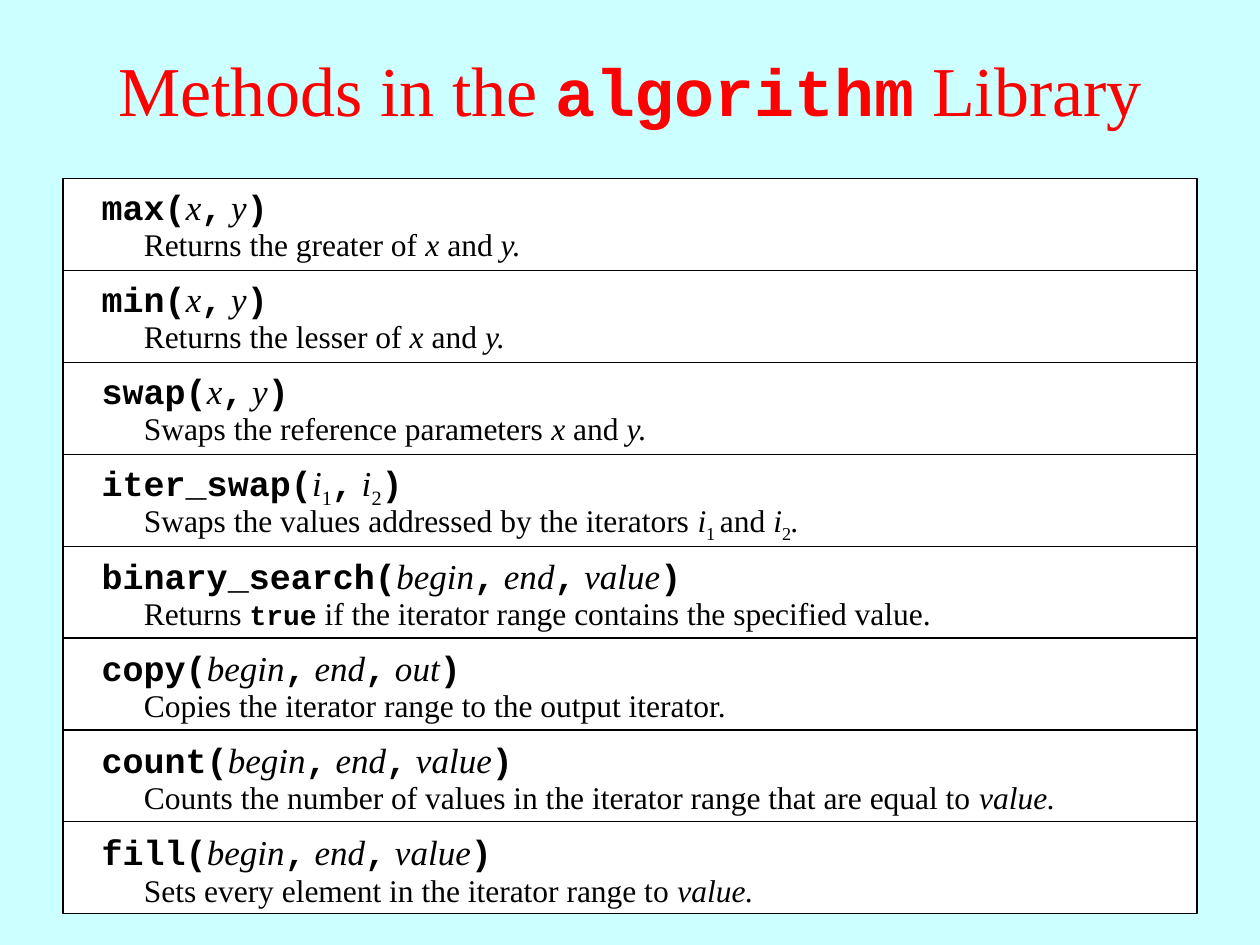
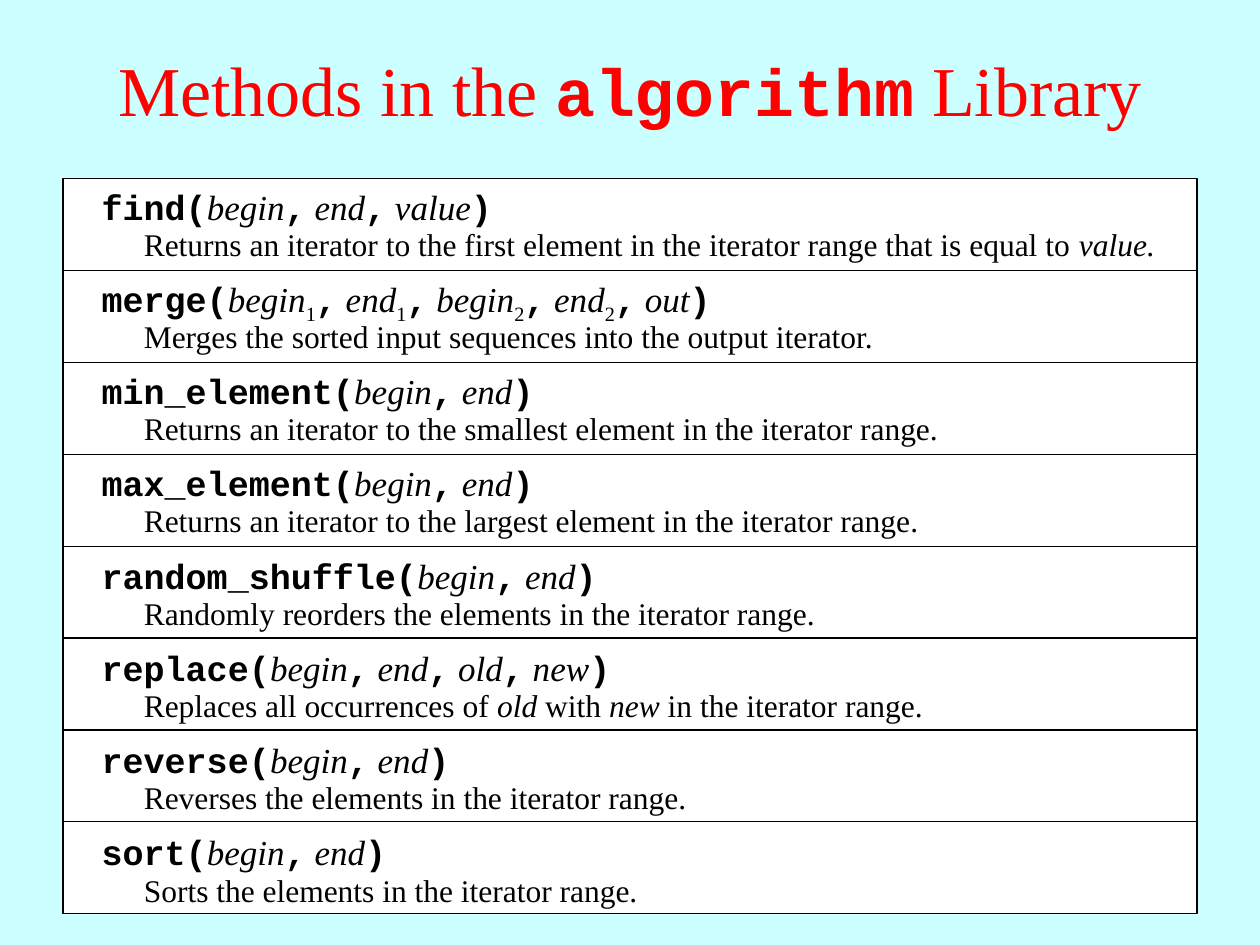
from dataclasses import dataclass

from pptx import Presentation
from pptx.dml.color import RGBColor as Rgb
from pptx.enum.shapes import MSO_CONNECTOR as Connector, MSO_SHAPE as Shape
from pptx.enum.text import MSO_ANCHOR as Anchor, PP_ALIGN as Align
from pptx.oxml.ns import qn
from pptx.util import Cm, Pt

# Parts of a text are split by "|"; a part may start with a mark:
# "`" code, "*" italic, "~" subscript.
TITLE = "Methods in the |`algorithm| Library"

# Each slide lists (method, arguments, description).
SLIDES = [
    [
        ("max", ["x", "y"], "Returns the greater of |*x |and |*y."),
        ("min", ["x", "y"], "Returns the lesser of |*x |and |*y."),
        ("swap", ["x", "y"], "Swaps the reference parameters |*x |and |*y."),
        ("iter_swap", ["i|~1", "i|~2"],
         "Swaps the values addressed by the iterators |*i|~1 |and |*i|~2|*."),
        ("binary_search", ["begin", "end", "value"],
         "Returns |`true| if the iterator range contains the specified value."),
        ("copy", ["begin", "end", "out"],
         "Copies the iterator range to the output iterator."),
        ("count", ["begin", "end", "value"],
         "Counts the number of values in the iterator range that are equal to |*value."),
        ("fill", ["begin", "end", "value"],
         "Sets every element in the iterator range to |*value."),
    ],
    [
        ("find", ["begin", "end", "value"],
         "Returns an iterator to the first element in the iterator range "
         "that is equal to |*value."),
        ("merge", ["begin|~1", "end|~1", "begin|~2", "end|~2", "out"],
         "Merges the sorted input sequences into the output iterator."),
        ("min_element", ["begin", "end"],
         "Returns an iterator to the smallest element in the iterator range."),
        ("max_element", ["begin", "end"],
         "Returns an iterator to the largest element in the iterator range|*."),
        ("random_shuffle", ["begin", "end"],
         "Randomly reorders the elements in the iterator range."),
        ("replace", ["begin", "end", "old", "new"],
         "Replaces all occurrences of |*old |with |*new| in the iterator range."),
        ("reverse", ["begin", "end"],
         "Reverses the elements in the iterator range|*."),
        ("sort", ["begin", "end"],
         "Sorts the elements in the iterator range|*."),
    ],
]


@dataclass(frozen=True)
class Theme:
    background: Rgb = Rgb(0xCC, 0xFF, 0xFF)
    panel: Rgb = Rgb(0xFF, 0xFF, 0xFF)
    ink: Rgb = Rgb(0, 0, 0)
    title: Rgb = Rgb(0xFF, 0, 0)
    body_font: str = "Times New Roman"
    code_font: str = "Courier New"
    title_size: int = 40
    title_code_size: int = 38
    signature_size: int = 20
    description_size: int = 18
    description_code_size: int = 16
    line_width: float = 0.75


THEME = Theme()
PANEL_LEFT, PANEL_TOP = Cm(1.27), Cm(3.6)
PANEL_WIDTH, PANEL_HEIGHT = Cm(22.86), Cm(14.82)
SIGNATURE_TOP, TEXT_PITCH = Cm(3.48), Cm(1.86)
DESCRIPTION_DROP = Cm(0.85)


def write(para, text, *, size, code_size, color=THEME.ink):
    """Add the marked parts of text to para as formatted runs."""
    for part in text.split("|"):
        mark = part[0] if part[0] in "`*~" else ""
        span = para.add_run()
        span.text = part[len(mark):]
        is_code = mark == "`"
        font = span.font
        font.name = THEME.code_font if is_code else THEME.body_font
        font.size = Pt(code_size if is_code else size)
        font.bold = is_code
        font.italic = mark == "*"
        font.color.rgb = color
        if mark == "~":
            span._r.get_or_add_rPr().set("baseline", "-25000")


def signature(name, arguments):
    return f"`{name}(|*" + "|`,|* ".join(arguments) + "|`)"


def add_text(page, text, left, top, width, height, *, inset, **format):
    frame = page.shapes.add_textbox(left, top, width, height).text_frame
    frame.word_wrap = True
    frame.margin_top = inset
    write(frame.paragraphs[0], text, **format)


def style_line(line):
    line.color.rgb = THEME.ink
    line.width = Pt(THEME.line_width)


def add_panel(page, row_count):
    """Draw the framed panel and the rules between its rows."""
    panel = page.shapes.add_shape(
        Shape.RECTANGLE, PANEL_LEFT, PANEL_TOP, PANEL_WIDTH, PANEL_HEIGHT)
    panel.shadow.inherit = False
    panel.fill.solid()
    panel.fill.fore_color.rgb = THEME.panel
    style_line(panel.line)
    for row in range(1, row_count):
        y = PANEL_TOP + PANEL_HEIGHT * row // row_count
        rule = page.shapes.add_connector(
            Connector.STRAIGHT, PANEL_LEFT, y, PANEL_LEFT + PANEL_WIDTH, y)
        style_line(rule.line)
        properties = rule._element.spPr
        properties.append(properties.makeelement(qn("a:effectLst"), {}))


def add_method_page(deck, layout, methods):
    page = deck.slides.add_slide(layout)
    para = page.shapes.title.text_frame.paragraphs[0]
    para.alignment = Align.CENTER
    write(para, TITLE, size=THEME.title_size,
          code_size=THEME.title_code_size, color=THEME.title)
    add_panel(page, len(methods))
    for row, (name, arguments, description) in enumerate(methods):
        top = SIGNATURE_TOP + TEXT_PITCH * row
        add_text(page, signature(name, arguments),
                 Cm(1.8), top, Cm(21.8), Cm(1.1), inset=Cm(0.25),
                 size=THEME.signature_size, code_size=THEME.signature_size)
        add_text(page, description,
                 Cm(2.65), top + DESCRIPTION_DROP, Cm(21.17), Cm(1.02), inset=Cm(0.2),
                 size=THEME.description_size, code_size=THEME.description_code_size)


def main():
    deck = Presentation()
    deck.slide_width, deck.slide_height = Cm(25.4), Cm(19.05)
    fill = deck.slide_master.background.fill
    fill.solid()
    fill.fore_color.rgb = THEME.background

    layout = deck.slide_layouts.get_by_name("Title Only")
    title = layout.placeholders[0]
    title.left, title.top = Cm(0), Cm(0.2)
    title.width, title.height = deck.slide_width, Cm(3.18)
    title.text_frame.vertical_anchor = Anchor.MIDDLE

    for methods in SLIDES:
        add_method_page(deck, layout, methods)
    deck.save("out.pptx")


if __name__ == "__main__":
    main()
